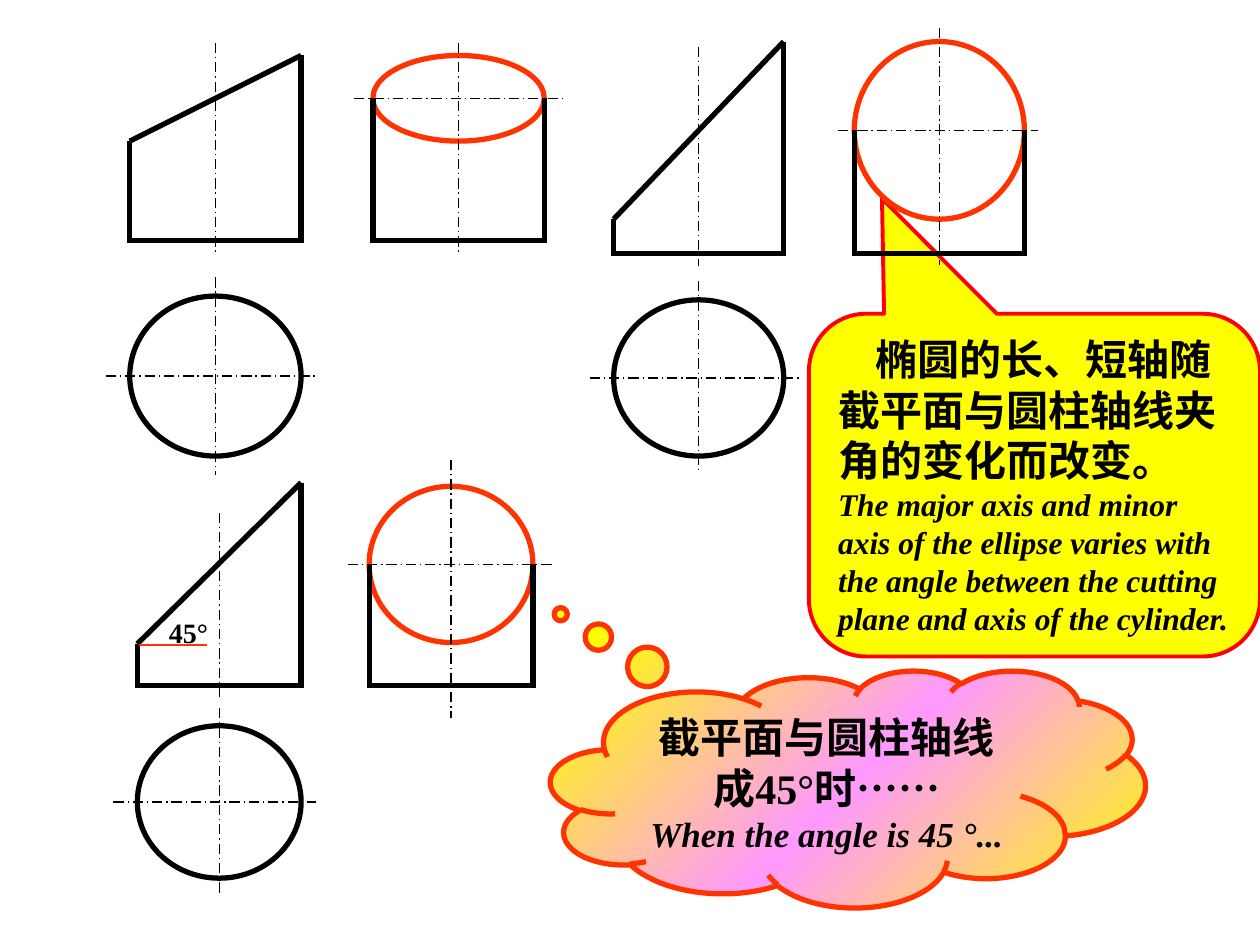
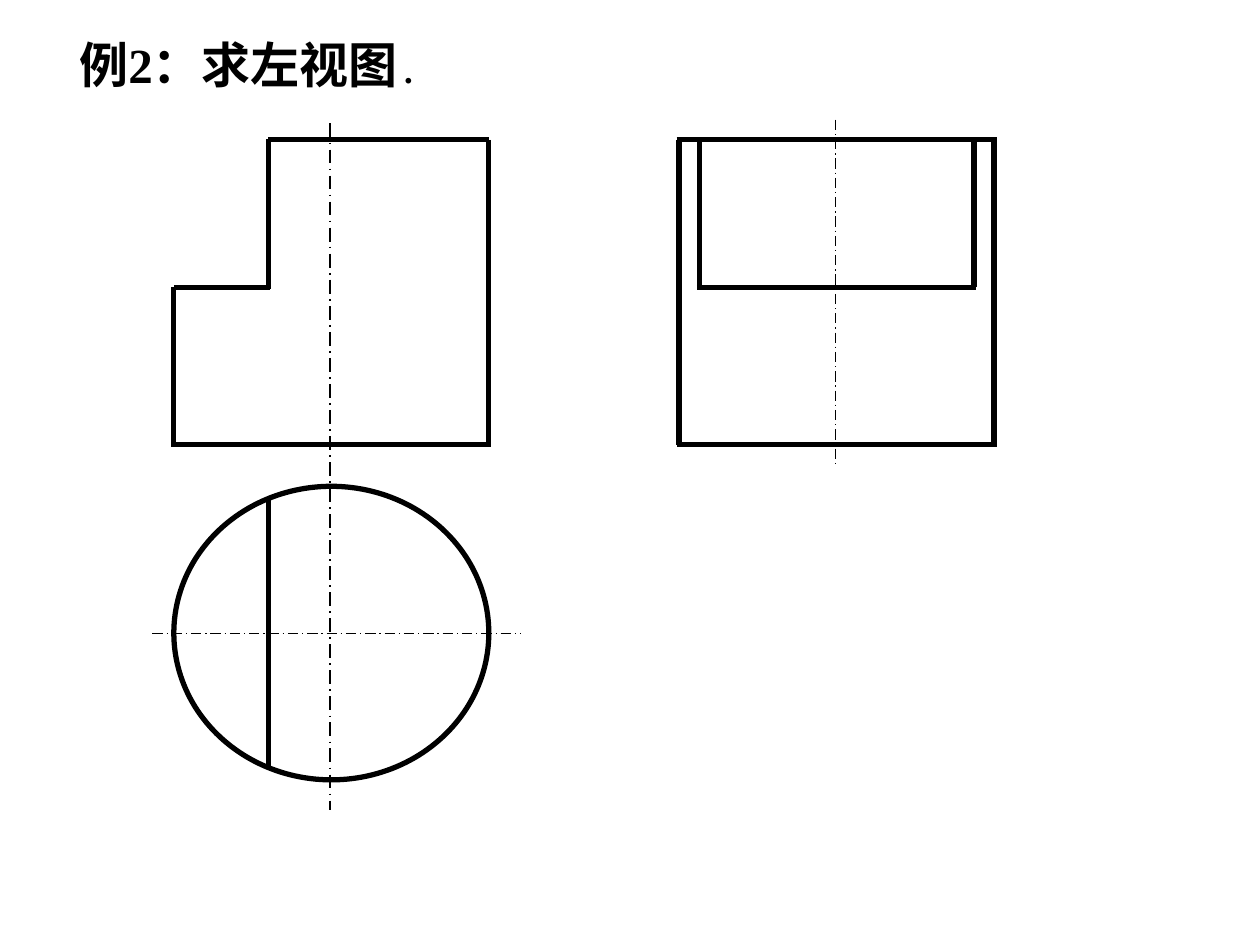
from copy import deepcopy
from dataclasses import dataclass
from itertools import pairwise

from pptx import Presentation
from pptx.dml.color import RGBColor
from pptx.enum.dml import MSO_LINE
from pptx.enum.shapes import MSO_CONNECTOR, MSO_SHAPE
from pptx.enum.text import MSO_ANCHOR, MSO_AUTO_SIZE, PP_ALIGN
from pptx.oxml import parse_xml
from pptx.oxml.ns import nsdecls, qn
from pptx.util import Inches, Pt


@dataclass(frozen=True)
class Theme:
    font: str = "Times New Roman"
    ink: str = "000000"
    cut: str = "FF3300"
    rim: str = "FF0000"
    sun: str = "FFFF00"
    pink: str = "FF99FF"
    thick: float = 3
    edge: float = 2.25
    axis: float = 1
    thin: float = 0.75
    title: int = 28
    main: int = 24
    sub: int = 20
    note: int = 18
    label: int = 16


@dataclass(frozen=True)
class Solid:
    """Three views of a cut cylinder; spans are offsets from the box's corner."""
    box: tuple    # left, top, width, height of the front view
    drop: float   # how far the cut falls across the front view
    side: float   # left of the side view
    oval: tuple   # top and height of the cut in the side view
    plan: tuple   # top and height of the top view
    mids: tuple   # vertical axis spans: front, side, plan
    rows: tuple   # horizontal axis spans: side, plan


T = Theme()

STEEP = Solid((4.87, 0.33, 1.35, 1.68), 1.41, 1.91, (0, 1.41), (2.05, 1.24),
              ((0.04, 1.78), (-0.11, 1.77), (1.9, 3.4)),
              ((1.78, 3.37), (-0.19, 1.47)))
FLAT = Solid((1.03, 0.44, 1.36, 1.47), 0.68, 1.93, (0, 0.68), (1.91, 1.27),
             ((-0.1, 1.57), (-0.1, 1.57), (1.76, 3.33)),
             ((1.78, 3.46), (-0.19, 1.49)))
EQUAL = Solid((1.09, 3.83, 1.3, 1.61), 1.28, 1.84, (0.03, 1.24), (1.93, 1.21),
              ((0.24, 1.73), (-0.18, 1.87), (1.79, 3.28)),
              ((1.67, 3.29), (-0.19, 1.42)))


def color(code):
    return RGBColor.from_string(code)


def stroke(shape, code, width):
    shape.line.color.rgb = color(code)
    shape.line.width = Pt(width)


def line(slide, start, end, width=T.thick, code=T.ink):
    link = slide.shapes.add_connector(
        MSO_CONNECTOR.STRAIGHT, *map(Inches, (*start, *end)))
    stroke(link, code, width)
    link._element.spPr.append(parse_xml(f"<a:effectLst {nsdecls('a')}/>"))
    return link


def axis(slide, start, end, width=T.thin):
    line(slide, start, end, width).line.dash_style = MSO_LINE.LONG_DASH_DOT


def chain(slide, *points):
    for start, end in pairwise(points):
        line(slide, start, end)


def base(slide, left, right, y):
    """Draw a level edge that closes the corners at both ends."""
    line(slide, (left - 0.02, y), (right + 0.02, y))


def add(slide, kind, box, code, width):
    shape = slide.shapes.add_shape(kind, *map(Inches, box))
    shape.shadow.inherit = False
    stroke(shape, code, width)
    return shape


def ring(slide, box, code=T.ink):
    add(slide, MSO_SHAPE.OVAL, box, code, T.thick).fill.background()


def write(para, text, size, italic=False):
    run = para.add_run()
    run.text = text
    font = run.font
    font.name, font.size = T.font, Pt(size)
    font.bold, font.italic = True, italic
    font.color.rgb = color(T.ink)


def solid(slide, item):
    left, top, width, height = item.box
    right, foot, low = left + width, top + height, top + item.drop
    near = left + item.side
    far = near + width
    o_top, o_high = item.oval
    p_top, p_high = item.plan

    ring(slide, (near, top + o_top, width, o_high), T.cut)
    ring(slide, (left, top + p_top, width, p_high))

    mid = left + width / 2
    for x, (start, end) in zip((mid, mid + item.side, mid), item.mids):
        axis(slide, (x, top + start), (x, top + end))
    belt = top + o_top + o_high / 2
    for y, (start, end) in zip((belt, top + p_top + p_high / 2), item.rows):
        axis(slide, (left + start, y), (left + end, y))

    chain(slide, (left, foot), (left, low), (right, top), (right, foot))
    base(slide, left, right, foot)
    for x in (near, far):
        line(slide, (x, belt), (x, foot))
    base(slide, near, far, foot)


def angle(slide, box):
    left, top, width, height = box
    line(slide, (left - 0.07, top + 0.29), (left + 0.47, top + 0.29),
         T.thin, T.cut)
    frame = slide.shapes.add_textbox(*map(Inches, box)).text_frame
    frame.word_wrap = False
    frame.vertical_anchor = MSO_ANCHOR.MIDDLE
    para = frame.paragraphs[0]
    para.alignment = PP_ALIGN.CENTER
    write(para, "45°", T.label)


def callout(slide, box):
    shape = add(slide, MSO_SHAPE.ROUNDED_RECTANGULAR_CALLOUT, box,
                T.rim, T.edge)
    for i, value in enumerate((-0.338, -0.836, 0.167)):
        shape.adjustments[i] = value
    shape.fill.solid()
    shape.fill.fore_color.rgb = color(T.sun)
    frame = shape.text_frame
    frame.word_wrap = True
    frame.vertical_anchor = MSO_ANCHOR.MIDDLE
    para = frame.paragraphs[0]
    para.alignment = PP_ALIGN.LEFT
    para._p.get_or_add_pPr().set("indent", str(Inches(0.3)))
    write(para, "椭圆的长、短轴随截平面与圆柱轴线夹角的变化而改变。", T.main)
    para.add_line_break()
    write(para, "The major axis and minor axis of the ellipse varies with "
          "the angle between the cutting plane and axis of the cylinder.",
          T.note, True)


def blend(shape, codes, turn):
    """Fill with evenly spaced colours, turned clockwise."""
    fill = shape.fill
    fill.gradient()
    fill.gradient_angle = 360 - turn
    stops = shape._element.spPr.find(qn("a:gradFill")).find(qn("a:gsLst"))
    while len(stops) < len(codes):
        stops.append(deepcopy(stops[0]))
    for i, (stop, code) in enumerate(zip(fill.gradient_stops, codes)):
        stop.position = i / (len(codes) - 1)
        stop.color.rgb = color(code)


def cloud(slide, box):
    shape = add(slide, MSO_SHAPE.CLOUD_CALLOUT, box, T.cut, T.thick)
    shape.adjustments[0], shape.adjustments[1] = -0.483, -0.737
    blend(shape, (T.sun, T.pink, T.sun), 45)
    frame = shape.text_frame
    frame.word_wrap = True
    frame.vertical_anchor = MSO_ANCHOR.MIDDLE
    first, last = frame.paragraphs[0], frame.add_paragraph()
    first.alignment = last.alignment = PP_ALIGN.CENTER
    write(first, "截平面与圆柱轴线成45°时……", T.main)
    write(last, "When the angle is 45 °...", T.sub, True)


def head(slide, box):
    title = slide.shapes.title
    title.left, title.top, title.width, title.height = map(Inches, box)
    frame = title.text_frame
    frame.word_wrap = True
    frame.auto_size = MSO_AUTO_SIZE.NONE
    frame.vertical_anchor = MSO_ANCHOR.TOP
    para = frame.paragraphs[0]
    para.alignment = PP_ALIGN.LEFT
    write(para, "例2：求左视图", T.title)
    write(para, " .", T.sub, True)


def front(slide, box):
    """Draw the stepped front view with the top view below it."""
    left, top, width, height = box
    right, foot = left + width, top + height
    step, ledge = left + 0.75, top + 1.17
    disc = foot + 0.33
    ring(slide, (left, disc, width, 2.33))
    line(slide, (step, disc + 0.1), (step, disc + 2.24))
    chain(slide, (left, foot), (left, ledge), (step + 0.01, ledge))
    line(slide, (step, ledge + 0.01), (step, top - 0.01))
    chain(slide, (step, top), (right, top), (right, foot))
    base(slide, left, right, foot)
    mid = left + width / 2 - 0.01
    axis(slide, (mid, top - 0.13), (mid, top + 5.32), T.axis)
    axis(slide, (left - 0.17, disc + 1.17), (right + 0.25, disc + 1.17))


def side(slide, box):
    left, top, width, height = box
    right, foot = left + width, top + height
    ledge = top + 1.17
    for inset, end in ((0, foot), (0.16, ledge)):
        for x in (left + inset, right - inset):
            line(slide, (x, top), (x, end))
        base(slide, left + inset, right - inset, end)
    base(slide, left, right, top)
    mid = left + width / 2 - 0.01
    axis(slide, (mid, top - 0.16), (mid, foot + 0.15))


def main():
    deck = Presentation()
    deck.slide_width, deck.slide_height = Inches(10), Inches(7.5)
    only, blank = deck.slide_layouts[5], deck.slide_layouts[6]

    slide = deck.slides.add_slide(blank)
    solid(slide, FLAT)
    callout(slide, (6.42, 2.49, 3.58, 2.72))
    solid(slide, EQUAL)
    angle(slide, (1.17, 4.83, 0.65, 0.37))
    cloud(slide, (4.37, 5.32, 4.72, 1.88))
    solid(slide, STEEP)

    slide = deck.slides.add_slide(only)
    head(slide, (0.53, 0.22, 6.48, 0.57))
    front(slide, (1.38, 1.11, 2.5, 2.42))
    side(slide, (5.39, 1.11, 2.5, 2.42))

    deck.save("out.pptx")


if __name__ == "__main__":
    main()
